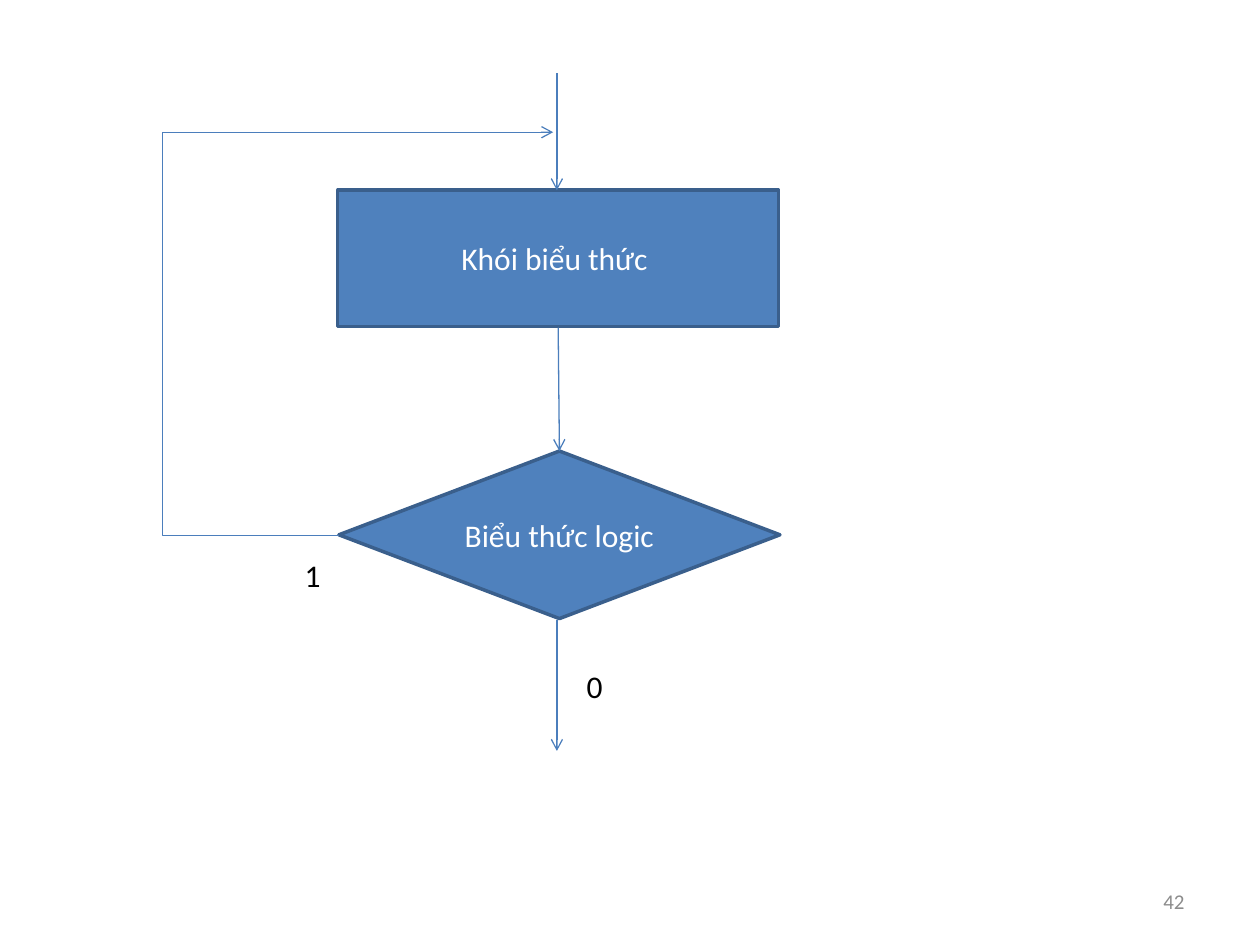
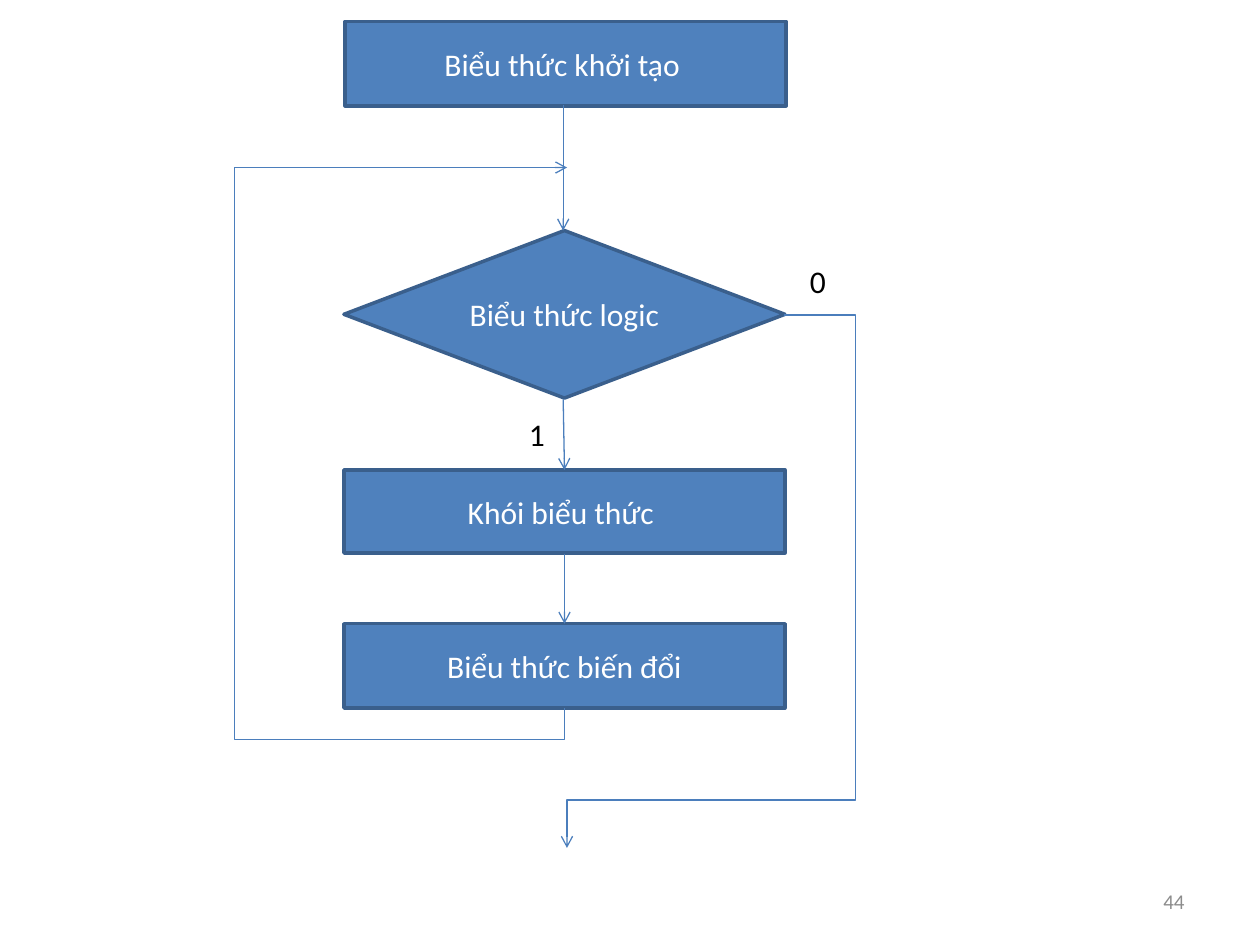
from dataclasses import dataclass

from lxml import etree
from pptx import Presentation
from pptx.dml.color import RGBColor
from pptx.enum import shapes, text
from pptx.oxml import ns
from pptx.util import Inches, Pt

COLORS = {
    "block": "4F81BD",
    "border": "3A5F8C",
    "arrow": "4B7EBC",
    "block_text": "FFFFFF",
    "label": "000000",
    "page": "8C8C8C",
}
FONT = "Calibri"
BLOCK_WIDTH = 3.5
DIAMOND_HEIGHT = 1.33
PROCESS = shapes.MSO_SHAPE.RECTANGLE
DECISION = shapes.MSO_SHAPE.DIAMOND
QUARTER_TURN = "5400000"


@dataclass(frozen=True)
class Block:
    """A process or decision step of the flowchart."""
    caption: str
    left: float
    top: float
    height: float
    outline: shapes.MSO_SHAPE = PROCESS


@dataclass(frozen=True)
class Branch:
    """The truth value written beside a branch."""
    value: str
    left: float
    top: float


@dataclass(frozen=True)
class Flow:
    """A path through corner points, ending in an arrowhead."""
    points: tuple[tuple[float, float], ...]


@dataclass(frozen=True)
class Flowchart:
    page: int
    blocks: tuple[Block, ...]
    branches: tuple[Branch, ...]
    flows: tuple[Flow, ...]


def color(name: str) -> RGBColor:
    return RGBColor.from_string(COLORS[name])


def write(shape, content: str, size: int, color_name: str,
          align=text.PP_ALIGN.CENTER) -> None:
    frame = shape.text_frame
    frame.text = content
    frame.word_wrap = True
    frame.vertical_anchor = text.MSO_ANCHOR.MIDDLE
    paragraph = frame.paragraphs[0]
    paragraph.alignment = align
    font = paragraph.runs[0].font
    font.name, font.size = FONT, Pt(size)
    font.color.rgb = color(color_name)


def draw_block(slide, block: Block) -> None:
    shape = slide.shapes.add_shape(
        block.outline, Inches(block.left), Inches(block.top),
        Inches(BLOCK_WIDTH), Inches(block.height))
    shape.shadow.inherit = False
    shape.fill.solid()
    shape.fill.fore_color.rgb = color("block")
    shape.line.color.rgb = color("border")
    shape.line.width = Pt(2)
    write(shape, block.caption, 18, "block_text")


def draw_branch(slide, branch: Branch) -> None:
    box = slide.shapes.add_textbox(
        Inches(branch.left), Inches(branch.top), Inches(0.42), Inches(0.54))
    write(box, branch.value, 18, "label")


def add_elbow(slide, flow: Flow):
    """Add a bent connector whose corners follow the flow's points."""
    (x0, y0), *corners, (x1, y1) = flow.points
    dx, dy = x1 - x0, y1 - y0
    starts_down = corners[0][0] == x0
    # A vertical start is a horizontal start given a quarter turn
    across, along = (dy, -dx) if starts_down else (dx, dy)
    mid_x, mid_y = (x0 + x1) / 2, (y0 + y1) / 2
    ends = (mid_x - across / 2, mid_y - along / 2,
            mid_x + across / 2, mid_y + along / 2)
    elbow = slide.shapes.add_connector(
        shapes.MSO_CONNECTOR.ELBOW, *map(Inches, ends))
    properties = elbow._element.spPr
    if starts_down:
        properties.find(ns.qn("a:xfrm")).set("rot", QUARTER_TURN)

    # Each bend is a share of the distance between the ends
    geometry = properties.find(ns.qn("a:prstGeom"))
    geometry.set("prst", f"bentConnector{len(corners) + 1}")
    guides = geometry.find(ns.qn("a:avLst"))
    for number, (x, y) in enumerate(corners[:-1], 1):
        horizontal = (number % 2 == 1) != starts_down
        share = (x - x0) / dx if horizontal else (y - y0) / dy
        etree.SubElement(guides, ns.qn("a:gd"), name=f"adj{number}",
                         fmla=f"val {round(share * 100000)}")
    return elbow


def draw_flow(slide, flow: Flow) -> None:
    if len(flow.points) == 2:
        start, end = flow.points
        arrow = slide.shapes.add_connector(
            shapes.MSO_CONNECTOR.STRAIGHT, *map(Inches, start + end))
    else:
        arrow = add_elbow(slide, flow)
    arrow.line.color.rgb = color("arrow")
    arrow.line.width = Pt(0.75)
    etree.SubElement(arrow.line._get_or_add_ln(), ns.qn("a:tailEnd"), type="arrow")
    etree.SubElement(arrow._element.spPr, ns.qn("a:effectLst"))


def draw_page_number(slide, page: int) -> None:
    box = slide.shapes.add_textbox(
        Inches(7.17), Inches(6.95), Inches(2.33), Inches(0.4))
    write(box, str(page), 12, "page", text.PP_ALIGN.RIGHT)


def draw_flowchart(slide, chart: Flowchart) -> None:
    draw_page_number(slide, chart.page)
    for block in chart.blocks:
        draw_block(slide, block)
    for branch in chart.branches:
        draw_branch(slide, branch)
    for flow in chart.flows:
        draw_flow(slide, flow)


# Loop that tests its condition after the body
POST_TEST_LOOP = Flowchart(
    page=42,
    blocks=(
        Block("Khói biểu thức ", 2.68, 1.51, 1.08),
        Block("Biểu thức logic", 2.69, 3.58, DIAMOND_HEIGHT, DECISION),
    ),
    branches=(Branch("1", 2.27, 4.29), Branch("0", 4.51, 5.17)),
    flows=(
        Flow(((4.42, 0.58), (4.42, 1.51))),
        Flow(((4.43, 2.6), (4.44, 3.58))),
        Flow(((4.42, 4.92), (4.42, 5.96))),
        Flow(((2.69, 4.25), (1.29, 4.25), (1.29, 1.05), (4.39, 1.05))),
    ),
)

# Loop with initialisation, condition and update
COUNTED_LOOP = Flowchart(
    page=44,
    blocks=(
        Block("Biểu thức khởi tạo ", 2.74, 0.17, 0.67),
        Block("Biểu thức logic", 2.73, 1.83, DIAMOND_HEIGHT, DECISION),
        Block("Khói biểu thức ", 2.73, 3.73, 0.66),
        Block("Biểu thức biến đổi", 2.73, 4.95, 0.67),
    ),
    branches=(Branch("1", 4.05, 3.17), Branch("0", 6.28, 1.96)),
    flows=(
        Flow(((4.47, 0.83), (4.47, 1.83))),
        Flow(((4.47, 3.17), (4.48, 3.73))),
        Flow(((4.48, 4.4), (4.48, 4.95))),
        Flow(((6.22, 2.5), (6.79, 2.5), (6.79, 6.35), (4.5, 6.35), (4.5, 6.73))),
        Flow(((4.48, 5.62), (4.48, 5.87), (1.87, 5.87), (1.87, 1.33), (4.5, 1.33))),
    ),
)


def main() -> None:
    deck = Presentation()
    deck.slide_width, deck.slide_height = Inches(10), Inches(7.5)
    blank = deck.slide_layouts[6]
    for chart in (POST_TEST_LOOP, COUNTED_LOOP):
        draw_flowchart(deck.slides.add_slide(blank), chart)
    deck.save("out.pptx")


if __name__ == "__main__":
    main()
